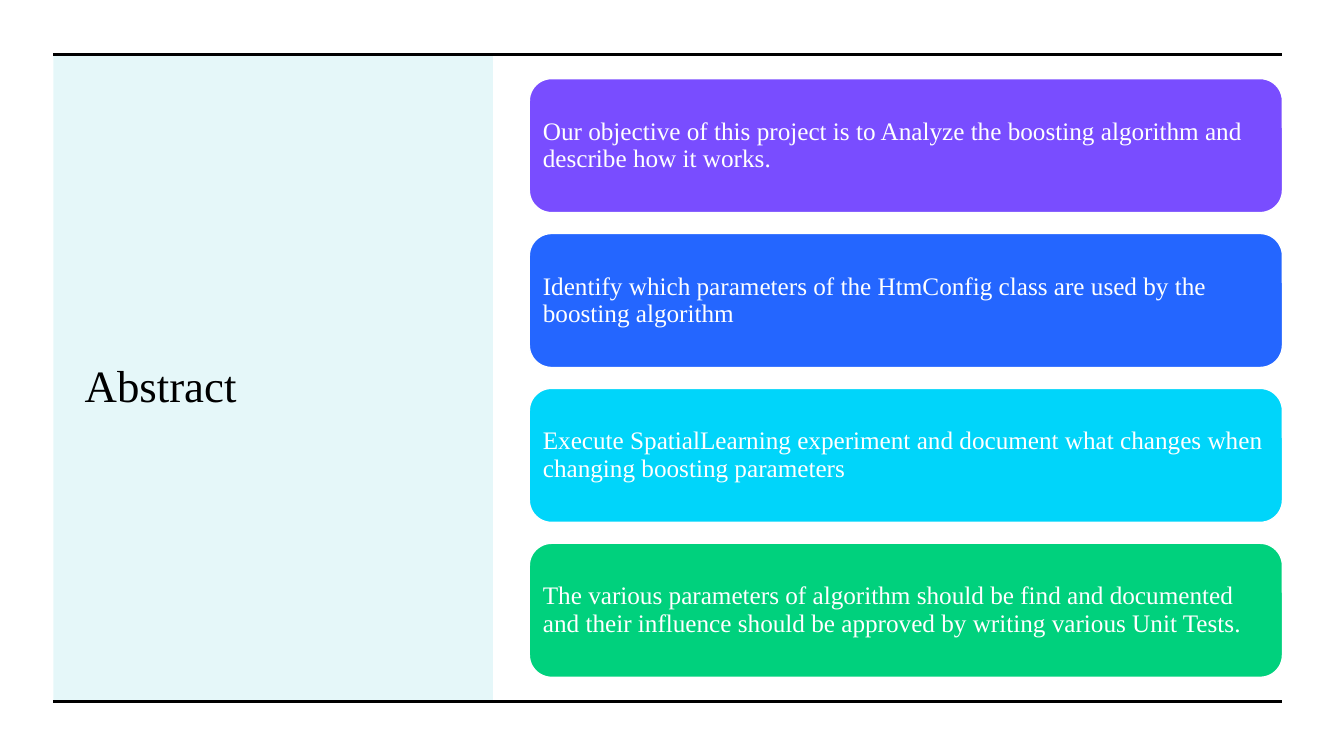
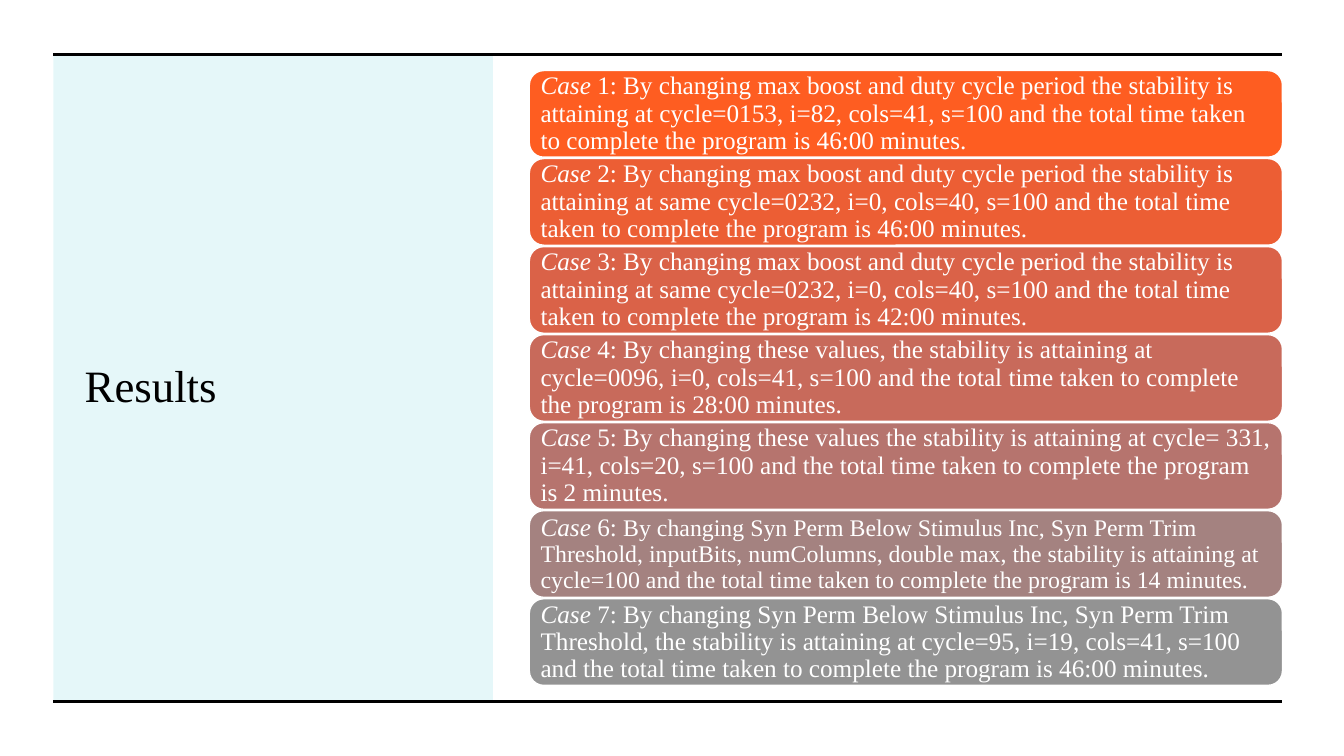
from lxml import etree
from pptx import Presentation
from pptx import util as u
from pptx.dml import color
from pptx.enum import shapes, text
from pptx.oxml import ns

FONT = "Times New Roman"
INK, WHITE, TEAL = "000000", "FFFFFF", "00BAC8"
LEFT, TOP, RIGHT, BASE = 0.53, 0.54, 12.72, 6.96
BOOST = "By changing max boost and duty cycle period the stability is attaining at "
VALUES = "By changing these values"
PERM = "By changing Syn Perm Below Stimulus Inc, Syn Perm Trim Threshold, "
TOTAL = " and the total time taken to complete the program is "

GOALS = [
    ("794DFF", "Our objective of this project is to Analyze the boosting algorithm "
               "and describe how it works."),
    ("2466FF", "Identify which parameters of the HtmConfig class are used by the "
               "boosting algorithm"),
    ("00D5FA", "Execute SpatialLearning experiment and document what changes when "
               "changing boosting parameters"),
    ("00D17D", "The various parameters of algorithm should be find and documented and "
               "their influence should be approved by writing various Unit Tests."),
]
CASES = [
    ("FE5D21", BOOST + "cycle=0153, i=82, cols=41, s=100", "46:00", 18),
    ("EC5E34", BOOST + "same cycle=0232, i=0, cols=40, s=100", "46:00", 18),
    ("DA6248", BOOST + "same cycle=0232, i=0, cols=40, s=100", "42:00", 18),
    ("C86A5B", VALUES + ", the stability is attaining at cycle=0096, i=0, cols=41, s=100",
     "28:00", 18),
    ("B6746E", VALUES + " the stability is attaining at cycle= 331, i=41, cols=20, s=100",
     "2", 18),
    ("A48280", PERM + "inputBits, numColumns, double max, the stability is attaining at "
     "cycle=100", "14", 17),
    ("939393", PERM + "the stability is attaining at cycle=95, i=19, cols=41, s=100",
     "46:00", 18),
]


def rgb(code):
    """Turn a hex string into a colour."""
    return color.RGBColor.from_string(code)


def style(item, vals):
    """Set each attribute in vals on item."""
    for key, val in vals.items():
        setattr(item, key, val)


def place(item, box):
    """Move item to a box in inches."""
    style(item, dict(zip(("left", "top", "width", "height"), map(u.Inches, box))))


def write(frame, runs, tone, inset, gap):
    """Fill a text frame with (words, size, italic) runs."""
    pad = u.Inches(inset)
    style(frame, {"word_wrap": True, "vertical_anchor": text.MSO_ANCHOR.MIDDLE,
                  "auto_size": text.MSO_AUTO_SIZE.NONE,
                  "margin_left": pad, "margin_right": pad,
                  "margin_top": pad, "margin_bottom": pad})
    para = frame.paragraphs[0]
    style(para, {"alignment": text.PP_ALIGN.LEFT, "line_spacing": gap})
    for words, size, slant in runs:
        run = para.add_run()
        run.text = words
        style(run.font, {"name": FONT, "size": u.Pt(size), "italic": slant})
        run.font.color.rgb = rgb(tone)


def block(slide, kind, box, fill):
    """Add a flat filled shape without an outline."""
    shape = slide.shapes.add_shape(kind, *map(u.Inches, box))
    shape.shadow.inherit = False
    shape.fill.solid()
    shape.fill.fore_color.rgb = rgb(fill)
    shape.line.fill.background()
    return shape


def rule(slide, y):
    """Draw a black rule across the content at height y."""
    ends = map(u.Inches, (LEFT, y, RIGHT, y))
    line = slide.shapes.add_connector(shapes.MSO_CONNECTOR.STRAIGHT, *ends)
    line.line.color.rgb = rgb(INK)
    line.line.width = u.Pt(2.25)
    etree.SubElement(line.element.spPr, ns.qn("a:effectLst"))


def frame(deck, name):
    """Start a slide with its tinted title panel and two rules."""
    slide = deck.slides.add_slide(deck.slide_layouts[5])
    title = slide.shapes.title
    place(title, (LEFT + 0.21, TOP + 0.53, 3.89, 5.5))
    write(title.text_frame, [(name, 32, False)], INK, 0.1, 1.0)
    panel = block(slide, shapes.MSO_SHAPE.RECTANGLE,
                  (LEFT, TOP, 4.36, BASE - TOP), TEAL)
    tint = panel.element.spPr.find(".//" + ns.qn("a:srgbClr"))
    etree.SubElement(tint, ns.qn("a:alpha"), val="10000")
    title.element.addprevious(panel.element)
    for y in (TOP, BASE):
        rule(slide, y)
    return slide


def stack(slide, box, high, cards):
    """Spread (fill, runs) cards of one height evenly down a box."""
    left, top, wide, tall = box
    step = (tall - high) / (len(cards) - 1)
    for row, (fill, runs) in enumerate(cards):
        card = block(slide, shapes.MSO_SHAPE.ROUNDED_RECTANGLE,
                     (left, top + row * step, wide, high), fill)
        card.line.color.rgb = rgb(WHITE)
        card.line.width = u.Pt(1)
        write(card.text_frame, runs, WHITE, 0.07, 0.9)


def goals(deck):
    """Build the abstract slide."""
    cards = [(fill, [(words, 18, False)]) for fill, words in GOALS]
    stack(frame(deck, "Abstract"), (5.25, 0.78, 7.47, 5.94), 1.33, cards)


def cases(deck):
    """Build the results slide."""
    cards = [(fill, [("Case ", 18, True), (f"{num}: ", 18, False),
                     (f"{words}{TOTAL}{time} minutes.", size, False)])
             for num, (fill, words, time, size) in enumerate(CASES, 1)]
    stack(frame(deck, "Results"), (5.25, 0.7, 7.47, 6.1), 0.86, cards)


def main():
    """Build and save the deck."""
    deck = Presentation()
    style(deck, {"slide_width": u.Inches(13.33), "slide_height": u.Inches(7.5)})
    goals(deck)
    cases(deck)
    deck.save("out.pptx")


main()
